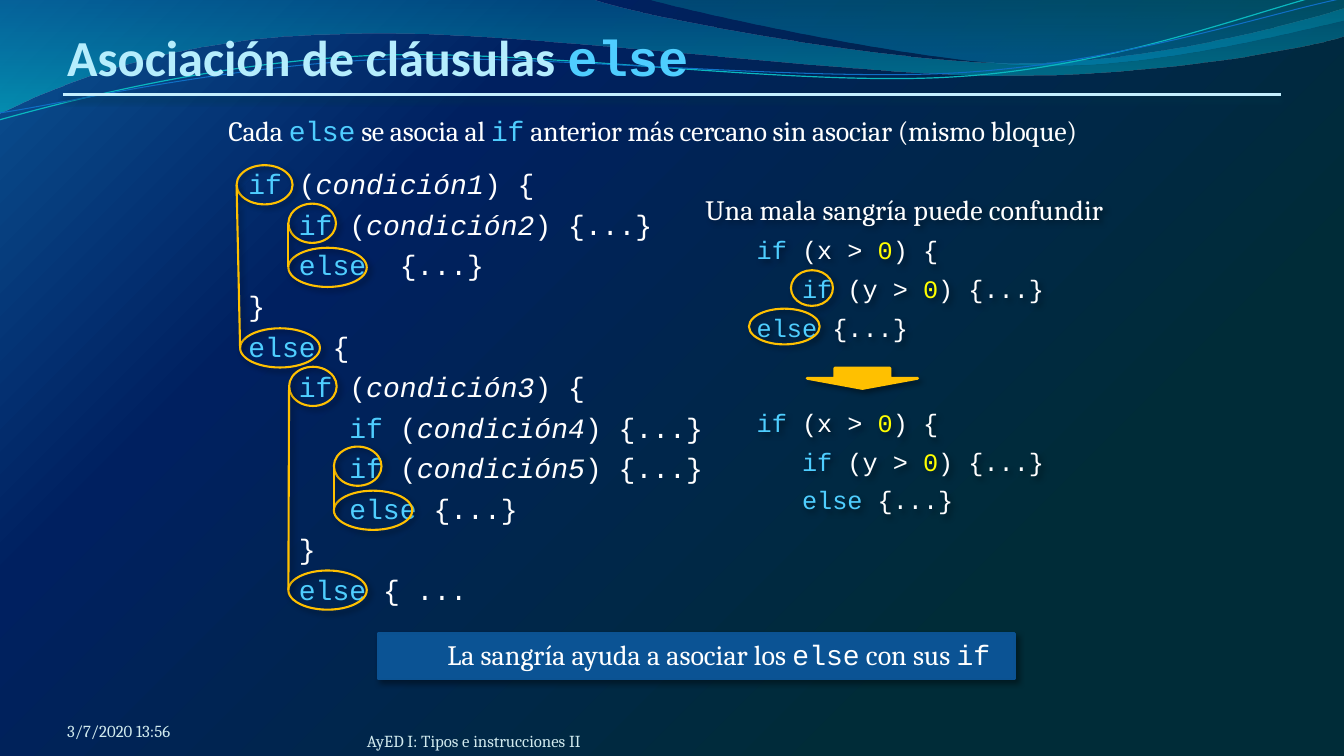
from lxml import etree
from pptx import Presentation
from pptx import util as u
from pptx.dml.color import RGBColor
from pptx.enum import shapes, text
from pptx.oxml.ns import qn

Pt = u.Pt
SHAPE = shapes.MSO_SHAPE

# Theme: colours, and text formats as (font, size, colour, bold, italic)
THEME = dict(
    gold="FFC000", banner="0B5394", banner_edge="0B5292", rule="C4EFFF",
    soft=("000000", 40, 4, 3, 45),  # shadow: colour, opacity, blur, distance, angle
    rule_shadow=("00374C", 48, 4.5, 3, 90),
    text={
        "title": ("Calibri", 36, "B5EDFD", True, False),
        "title_key": ("Courier New", 36, "4FCEFF", True, False),
        "text": ("Cambria", 20, "FFFFFF", False, False),
        "footer": ("Cambria", 12, "D1EAEE", False, False),
        "key": ("Courier New", 20, "4FCEFF", False, False),
        "code": ("Courier New", 20, "FFFFFF", False, False),
        "var": ("Courier New", 20, "FFFFFF", False, True),
        "small_key": ("Courier New", 18, "4FCEFF", False, False),
        "small_code": ("Courier New", 18, "FFFFFF", False, False),
        "small_num": ("Courier New", 18, "FFFF00", False, False),
    })


def write(tf, paragraphs, anchor=text.MSO_ANCHOR.TOP, insets=(7.2, 3.6, 7.2, 3.6)):
    """Fill a frame from (runs, paragraph format, left margin) entries."""
    tf.word_wrap = True
    tf.auto_size = text.MSO_AUTO_SIZE.NONE
    tf.vertical_anchor = anchor
    for side, inset in zip(("left", "top", "right", "bottom"), insets):
        setattr(tf, f"margin_{side}", Pt(inset))
    for i, (runs, layout, margin) in enumerate(paragraphs):
        p = tf.add_paragraph() if i else tf.paragraphs[0]
        p.alignment = text.PP_ALIGN.LEFT
        p._p.get_or_add_pPr().set("marL", str(Pt(margin)))
        for name, value in layout.items():
            setattr(p, name, Pt(value))
        for kind, words in runs:
            r = p.add_run()
            r.text = words
            font, size, colour, bold, italic = THEME["text"][kind]
            for name, value in dict(name=font, size=Pt(size), bold=bold, italic=italic).items():
                setattr(r.font, name, value)
            r.font.color.rgb = RGBColor.from_string(colour)


def stroke(sp, colour, width):
    sp.line.color.rgb = RGBColor.from_string(colour)
    sp.line.width = Pt(width)
    return sp


prs = Presentation()
prs.slide_width, prs.slide_height = Pt(960), Pt(540)
s = prs.slides.add_slide(prs.slide_layouts[5])
shadows = []

# Background gradient
s.background.fill.gradient()
gradients = [(s._element.find(".//" + qn("a:gradFill")),
              [(0, "0B5394", 100), (28, "002060", 100), (76, "002C38", 100)], True)]

# Waves at the top: start, then pieces of one point (line) or three (curve), in hundredths of an inch
waves = [
    ((-1, -1), [[(586, -1)],
                [(634, 17), (885, 63), (1011, 63)], [(1138, 63), (1278, 26), (1333, 9)],
                [(1335, 36)],
                [(1311, 44), (1160, 76), (994, 75)], [(829, 75), (509, 28), (343, 34)],
                [(172, 36), (61, 83), (-1, 113)]],
     [(0, "0074A1", 45), (100, "00C6CF", 55)], None),
    ((639, -1), [[(679, 11), (909, 62), (1025, 65)], [(1141, 69), (1282, 32), (1333, 21)],
                 [(1333, 0)]],
     [(0, "00A1A9", 30), (80, "008BBF", 45)], None),
    ((-1, 119), [[(64, 101), (211, 62), (369, 55)], [(527, 48), (790, 87), (950, 76)],
                 [(1110, 66), (1252, 8), (1331, -10)]], None, ("0AB8BF", .85)),
    ((0, 112), [[(63, 103), (218, 66), (378, 59)], [(537, 53), (796, 82), (955, 72)],
                [(1115, 62), (1255, 14), (1334, -2)]], None, ("0F6FC6", .75)),
]
for start, pieces, stops, edge in waves:
    outline = s.shapes.build_freeform(*start, scale=Pt(.72))
    outline.add_line_segments([point for piece in pieces for point in piece], close=bool(stops))
    sp = outline.convert_to_shape()
    sp.shadow.inherit = False
    segments = iter(sp._element.findall(".//" + qn("a:lnTo")))
    for piece in pieces:
        first = next(segments)
        if len(piece) == 3:
            first.tag = qn("a:cubicBezTo")
            for _ in range(2):
                extra = next(segments)
                first.append(extra[0])
                extra.getparent().remove(extra)
    if stops:
        sp.fill.gradient()
        sp.line.fill.background()
        gradients.append((sp._element.spPr.find(qn("a:gradFill")), stops, False))
    else:
        sp.fill.background()
        stroke(sp, *edge)

for grad, stops, radial in gradients:
    for child in list(grad):
        grad.remove(child)
    gs_list = etree.SubElement(grad, qn("a:gsLst"))
    for pos, colour, opacity in stops:
        gs = etree.SubElement(gs_list, qn("a:gs"), pos=str(pos * 1000))
        clr = etree.SubElement(gs, qn("a:srgbClr"), val=colour)
        etree.SubElement(clr, qn("a:alpha"), val=str(opacity * 1000))
    if radial:
        focus = etree.SubElement(grad, qn("a:path"), {"path": "circle"})
        etree.SubElement(focus, qn("a:fillToRect"), r="100000", b="100000")
    else:
        etree.SubElement(grad, qn("a:lin"), ang="5400000", scaled="1")

# Title, in front of the waves, and its rule
rule = s.shapes.add_connector(shapes.MSO_CONNECTOR.STRAIGHT, Pt(45), Pt(67.5), Pt(915), Pt(67.5))
shadows.append((stroke(rule, THEME["rule"], 2.25), THEME["rule_shadow"]))
title = s.shapes.title
s.shapes._spTree.append(title._element)
title.left, title.top, title.width, title.height = Pt(48), Pt(22.5), Pt(864), Pt(39.5)
write(title.text_frame, [([("title", "Asociación de cláusulas "), ("title_key", "else")], {}, 0)],
      text.MSO_ANCHOR.BOTTOM, (0, 3.6, 0, 0))

# Code listings: rows of (indent, keyword, lead, value, tail)
nested = [
    (0, "if", " (", "condición1", ") {"),
    (1, "if", " (", "condición2", ") {...}"),
    (1, "else", "", "", "  {...}"),
    (0, "", "", "", "}"),
    (0, "else", "", "", " {"),
    (1, "if", " (", "condición3", ") {"),
    (2, "if", " (", "condición4", ") {...}"),
    (2, "if", " (", "condición5", ") {...}"),
    (2, "else", "", "", " {...}"),
    (1, "", "", "", "}"),
    (1, "else", "", "", " { ..."),
]
outer, inner = (0, "if", " (x > ", "0", ") {"), (1, "if", " (y > ", "0", ") {...}")
misleading = [outer, inner, (0, "else", "", "", " {...}"),
              outer, inner, (1, "else", "", "", " {...}")]
rule_text = [("text", "Cada "), ("key", "else"), ("text", " se asocia al "), ("key", "if"),
             ("text", " anterior más cercano sin asociar (mismo bloque)")]
warning = [("text", "Una mala sangría puede confundir")]
listings = [
    ((156, 77.5, 648, 416), (rule_text, dict(space_after=15), 0), nested,
     ("key", "code", "var", "code"), dict(line_spacing=23, space_after=6), 14.4),
    ((491, 134, 312.5, 239), (warning, dict(space_after=6), 5.8), misleading,
     ("small_key", "small_code", "small_num", "small_code"), dict(space_after=6), 42.5),
]
for place, heading, rows, kinds, layout, margin in listings:
    paragraphs = [heading]
    for indent, keyword, lead, value, tail in rows:
        pad = "   " * indent
        words = (pad + keyword, lead, value, tail) if keyword else ("", "", "", pad + tail)
        paragraphs.append(([run for run in zip(kinds, words) if run[1]], dict(layout), margin))
    if rows is misleading:
        paragraphs[3][1]["space_after"] = 46.5  # room for the arrow
    box = s.shapes.add_textbox(*map(Pt, place))
    write(box.text_frame, paragraphs)
    if rows is misleading:
        shadows.append((box, THEME["soft"]))
    else:
        for r in box.text_frame.paragraphs[0].runs:
            r.font._element.set("spc", "-20")

# Banner
banner = s.shapes.add_shape(SHAPE.RECTANGLE, Pt(270), Pt(452.5), Pt(454.5), Pt(32.5))
banner.fill.solid()
banner.fill.fore_color.rgb = RGBColor.from_string(THEME["banner"])
shadows.append((stroke(banner, THEME["banner_edge"], 2), THEME["soft"]))
write(banner.text_frame, [([("text", "La sangría ayuda a asociar los "), ("code", "else"),
                            ("text", " con sus "), ("code", "if")], {}, 42.5)],
      insets=(7.2, 2.6, 0, 2.6))

# Ovals round each if and its else; matched pairs are joined by a line
pairs = [
    ((169, 118, 40, 28), (171.5, 234.5, 57, 28), True),
    ((206.5, 262, 34, 28), (206, 407.5, 56, 28), True),
    ((206, 145.5, 34, 28), (206, 177, 56, 28), True),
    ((238.5, 319, 34, 28), (238.5, 350.5, 56, 28), True),
    ((565, 193, 30, 25.5), (535, 220.5, 50.5, 25.5), False),
]
for if_oval, else_oval, joined in pairs:
    for place in (if_oval, else_oval):
        oval = s.shapes.add_shape(SHAPE.OVAL, *map(Pt, place))
        oval.fill.background()
        shadows.append((stroke(oval, THEME["gold"], 1.5), THEME["soft"]))
    if joined:
        ends = [Pt(v) for x, y, w, h in (if_oval, else_oval) for v in (x, y + h / 2)]
        link = s.shapes.add_connector(shapes.MSO_CONNECTOR.STRAIGHT, *ends)
        shadows.append((stroke(link, THEME["gold"], 1.5), THEME["soft"]))

# Arrow from the misleading code to the clear code
arrow = s.shapes.add_shape(SHAPE.DOWN_ARROW, Pt(576.5), Pt(263), Pt(79), Pt(14.5))
arrow.fill.solid()
arrow.fill.fore_color.rgb = RGBColor.from_string(THEME["gold"])
shadows.append((stroke(arrow, THEME["gold"], 2), THEME["soft"]))

# Date and footer
for place, words in [((48, 500.5, 224, 28.5), "3/7/2020 13:56"),
                     ((262, 508, 585, 28.5), "AyED I: Tipos e instrucciones II")]:
    write(s.shapes.add_textbox(*map(Pt, place)).text_frame, [([("footer", words)], {}, 0)],
          text.MSO_ANCHOR.BOTTOM, (0, 0, 0, 0))

# Shadows
for sp, (colour, opacity, blur, dist, angle) in shadows:
    effects = etree.SubElement(sp._element.spPr, qn("a:effectLst"))
    outer_shadow = etree.SubElement(effects, qn("a:outerShdw"), blurRad=str(Pt(blur)),
                                    dist=str(Pt(dist)), dir=str(angle * 60000), rotWithShape="0")
    clr = etree.SubElement(outer_shadow, qn("a:srgbClr"), val=colour)
    etree.SubElement(clr, qn("a:alpha"), val=str(opacity * 1000))

prs.save("out.pptx")
